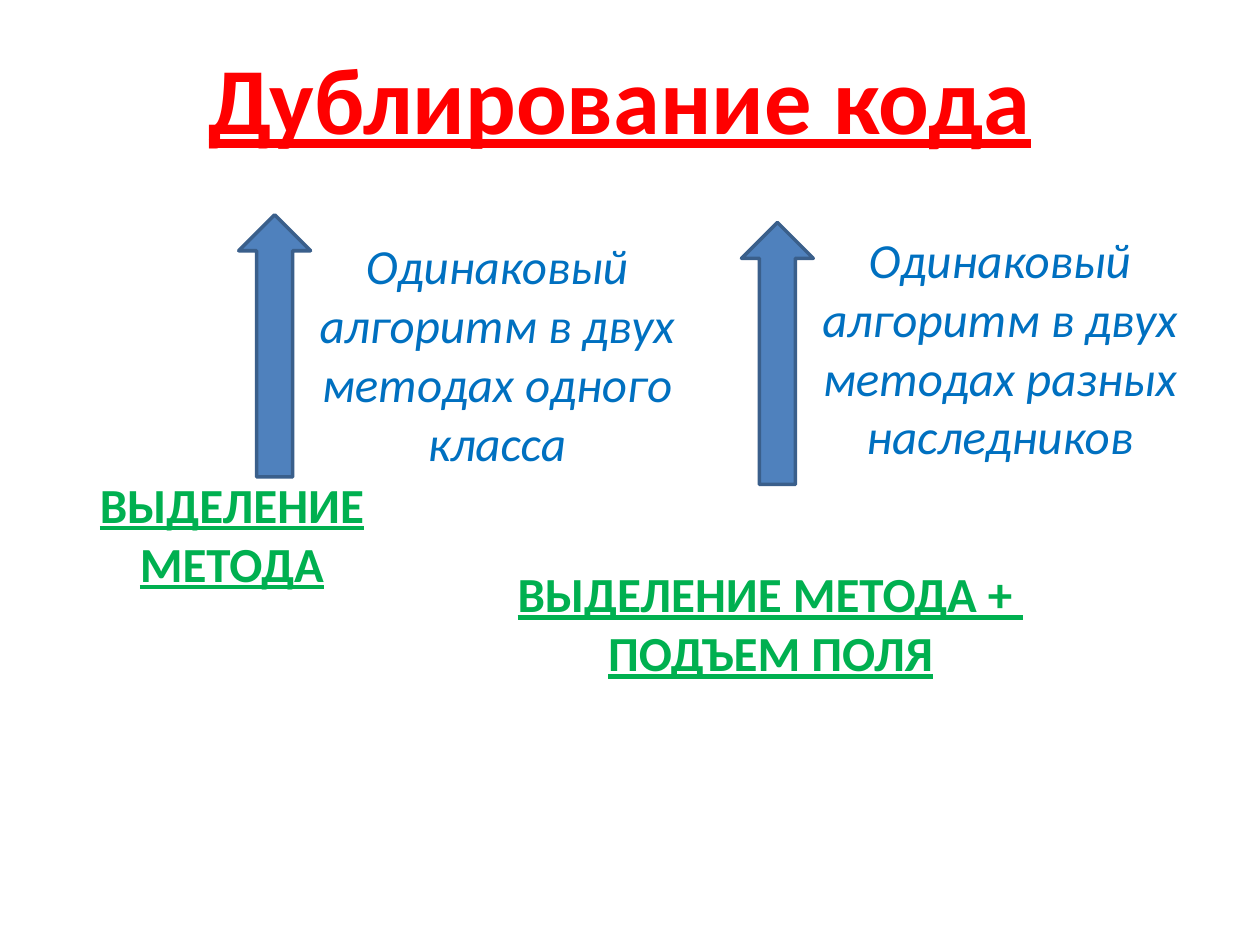
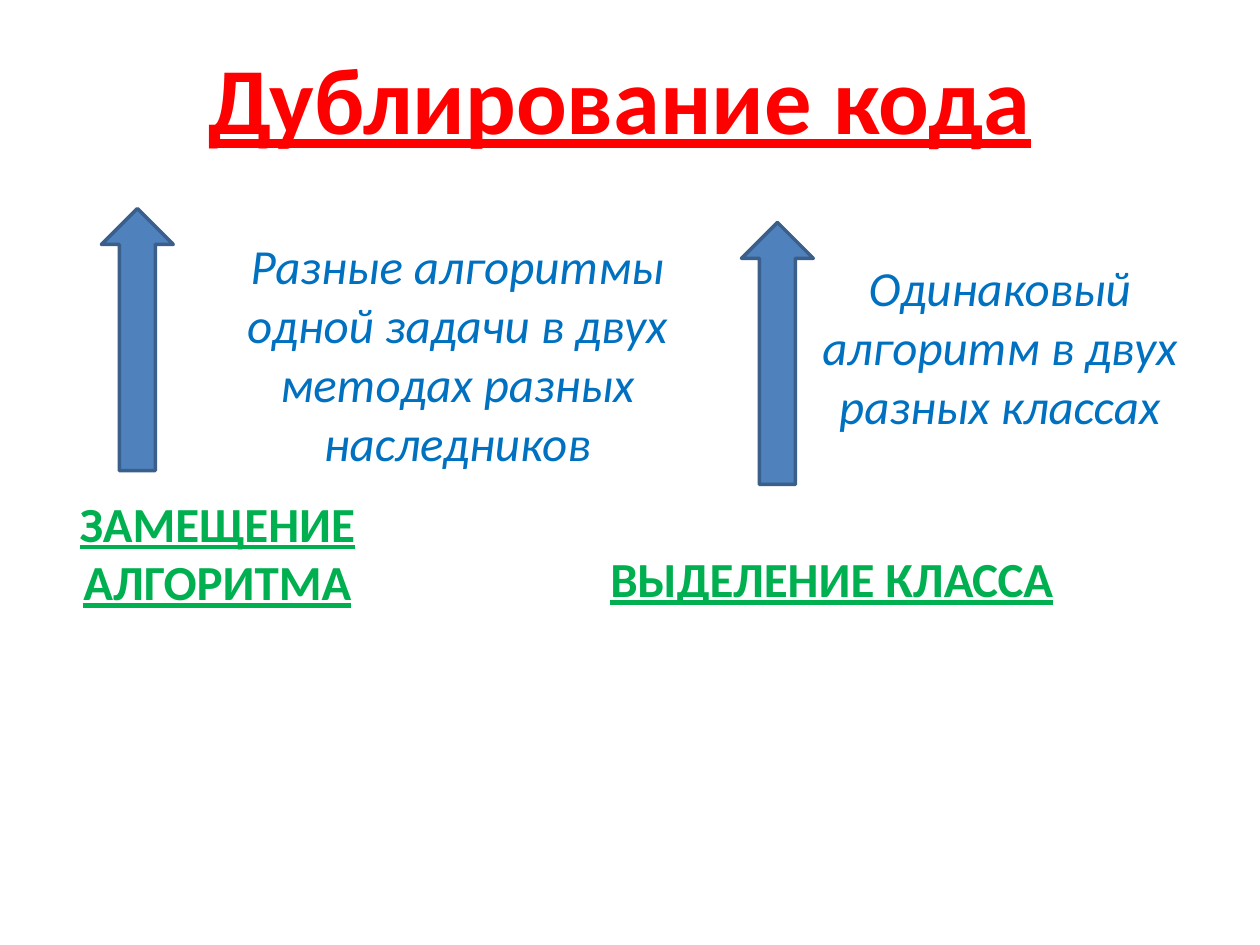
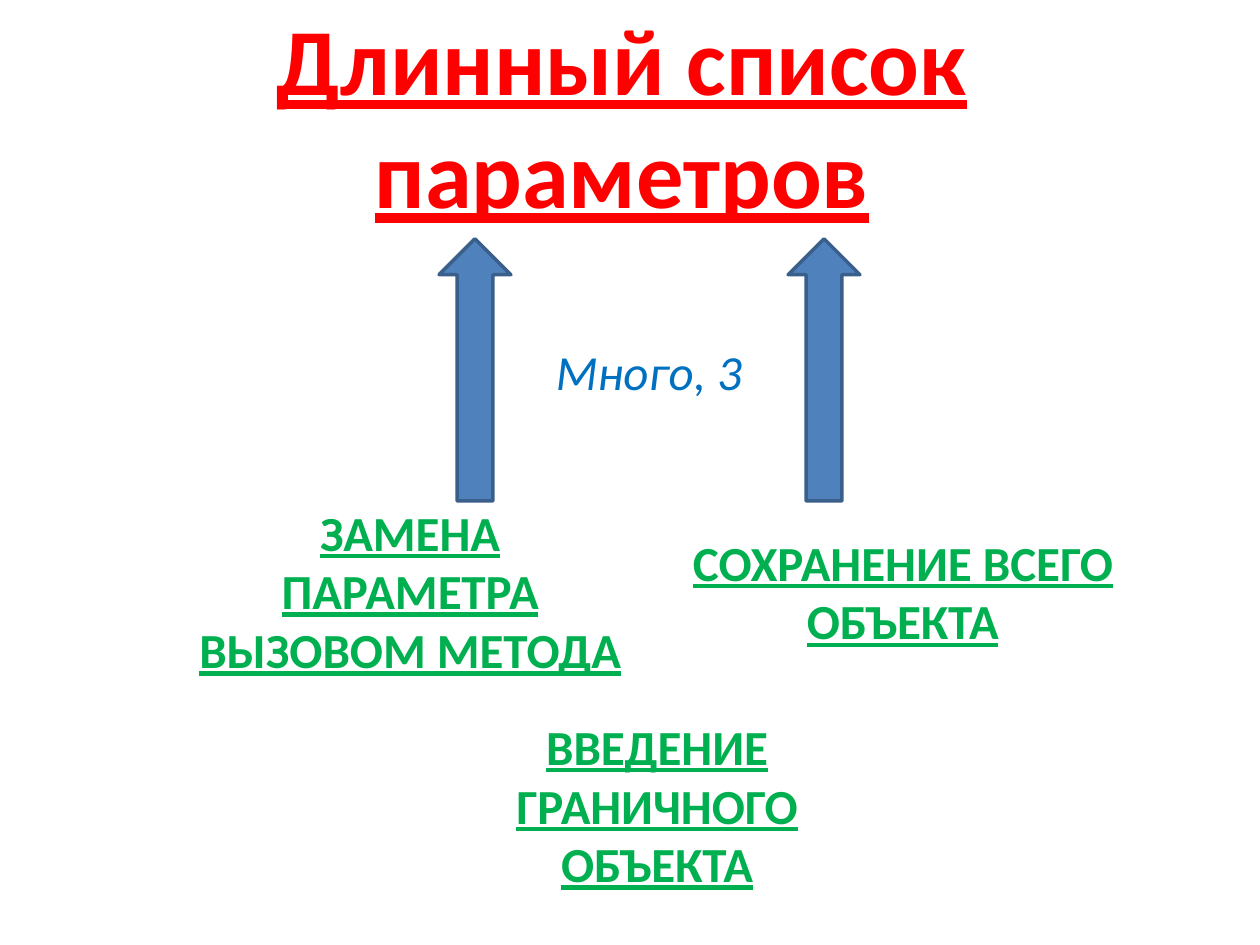
from dataclasses import dataclass

from pptx import Presentation
from pptx.dml.color import RGBColor
from pptx.enum.shapes import MSO_SHAPE
from pptx.enum.text import MSO_ANCHOR, MSO_AUTO_SIZE, PP_ALIGN
from pptx.util import Inches, Pt

RIGHT_ARROW = MSO_SHAPE.RIGHT_ARROW
MIDDLE = MSO_ANCHOR.MIDDLE
CENTER = PP_ALIGN.CENTER
NO_AUTOFIT = MSO_AUTO_SIZE.NONE

FONT = "Calibri"
TITLE_RED = RGBColor(0xFF, 0x00, 0x00)
PROBLEM_BLUE = RGBColor(0x00, 0x70, 0xC0)
REFACTORING_GREEN = RGBColor(0x00, 0xB0, 0x50)
ARROW_FILL = RGBColor(0x4F, 0x81, 0xBD)
ARROW_LINE = RGBColor(0x3A, 0x5F, 0x8B)

TITLE_ONLY_LAYOUT = 5
ARROW_LENGTH = 2.08
ARROW_THICKNESS = 0.57


@dataclass(frozen=True)
class Label:
    text: str
    left: float
    top: float
    width: float
    height: float


@dataclass(frozen=True)
class Arrow:
    """An upward arrow, placed by its box before the quarter turn."""
    left: float
    top: float


@dataclass(frozen=True)
class SmellSlide:
    """A code smell, its problems and the refactorings that remove it."""
    title: Label
    arrows: list[Arrow]
    problems: list[Label]
    refactorings: list[Label]


DUPLICATION_TITLE = Label("Дублирование кода", 0, 0.34, 9.84, 0.85)
RIGHT_SIDE_ARROW = Arrow(5.13, 2.52)

SLIDES = [
    SmellSlide(
        title=DUPLICATION_TITLE,
        arrows=[Arrow(1.14, 2.46), RIGHT_SIDE_ARROW],
        problems=[
            Label("Одинаковый алгоритм в двух методах одного класса",
                  2.18, 1.82, 3.53, 1.97),
            Label("Одинаковый алгоритм в двух методах разных наследников",
                  6.17, 1.77, 3.53, 1.97),
        ],
        refactorings=[
            Label("ВЫДЕЛЕНИЕ МЕТОДА", 0.2, 3.79, 3.28, 0.88),
            Label("ВЫДЕЛЕНИЕ МЕТОДА + \nПОДЪЕМ ПОЛЯ", 3.76, 4.17, 4.71, 1.54),
        ],
    ),
    SmellSlide(
        title=DUPLICATION_TITLE,
        arrows=[Arrow(0.05, 2.41), RIGHT_SIDE_ARROW],
        problems=[
            Label("Разные алгоритмы одной задачи в двух методах разных наследников",
                  1.38, 1.82, 4.5, 1.97),
            Label("Одинаковый алгоритм в двух разных классах",
                  6.17, 1.76, 3.53, 1.97),
        ],
        refactorings=[
            Label("ЗАМЕЩЕНИЕ АЛГОРИТМА", 0, 3.94, 3.45, 0.88),
            Label("ВЫДЕЛЕНИЕ КЛАССА", 4.74, 3.82, 3.72, 1.54),
        ],
    ),
    SmellSlide(
        title=Label("Длинный список параметров", 0.69, 0.48, 8.49, 0.85),
        arrows=[Arrow(2.73, 2.65), Arrow(5.5, 2.65)],
        problems=[Label("Много, 3", 4.1, 2.02, 2.1, 1.84)],
        refactorings=[
            Label("ЗАМЕНА ПАРАМЕТРА ВЫЗОВОМ МЕТОДА", 1.44, 4.26, 3.63, 0.85),
            Label("СОХРАНЕНИЕ ВСЕГО ОБЪЕКТА", 5.35, 3.9, 3.63, 1.58),
            Label("ВВЕДЕНИЕ ГРАНИЧНОГО ОБЪЕКТА", 3.4, 5.4, 3.63, 1.97),
        ],
    ),
]


def write_text(shape, text: str, *, color: RGBColor, size: int = 28,
               bold: bool = False, italic: bool = False,
               underline: bool = False) -> None:
    frame = shape.text_frame
    frame.text = text
    frame.word_wrap = True
    frame.auto_size = NO_AUTOFIT
    frame.vertical_anchor = MIDDLE
    for paragraph in frame.paragraphs:
        paragraph.alignment = CENTER
        for run in paragraph.runs:
            font = run.font
            font.name = FONT
            font.size = Pt(size)
            font.bold = bold
            font.italic = italic
            font.underline = underline
            font.color.rgb = color


def add_title(slide, label: Label) -> None:
    title = slide.shapes.title
    title.left, title.top = Inches(label.left), Inches(label.top)
    title.width, title.height = Inches(label.width), Inches(label.height)
    write_text(title, label.text, color=TITLE_RED, size=54, bold=True, underline=True)


def add_label(slide, label: Label, **text_format) -> None:
    box = slide.shapes.add_textbox(Inches(label.left), Inches(label.top),
                                   Inches(label.width), Inches(label.height))
    write_text(box, label.text, **text_format)


def add_arrow(slide, arrow: Arrow) -> None:
    shape = slide.shapes.add_shape(RIGHT_ARROW, Inches(arrow.left), Inches(arrow.top),
                                   Inches(ARROW_LENGTH), Inches(ARROW_THICKNESS))
    shape.rotation = 270
    shape.shadow.inherit = False
    shape.fill.solid()
    shape.fill.fore_color.rgb = ARROW_FILL
    shape.line.color.rgb = ARROW_LINE
    shape.line.width = Pt(2)


def add_smell_slide(presentation, content: SmellSlide) -> None:
    slide = presentation.slides.add_slide(presentation.slide_layouts[TITLE_ONLY_LAYOUT])
    add_title(slide, content.title)
    for arrow in content.arrows:
        add_arrow(slide, arrow)
    for problem in content.problems:
        add_label(slide, problem, color=PROBLEM_BLUE, italic=True)
    for refactoring in content.refactorings:
        add_label(slide, refactoring, color=REFACTORING_GREEN, bold=True, underline=True)


def main() -> None:
    presentation = Presentation()
    presentation.slide_width = Inches(10)
    presentation.slide_height = Inches(7.5)
    for content in SLIDES:
        add_smell_slide(presentation, content)
    presentation.save("out.pptx")


if __name__ == "__main__":
    main()
